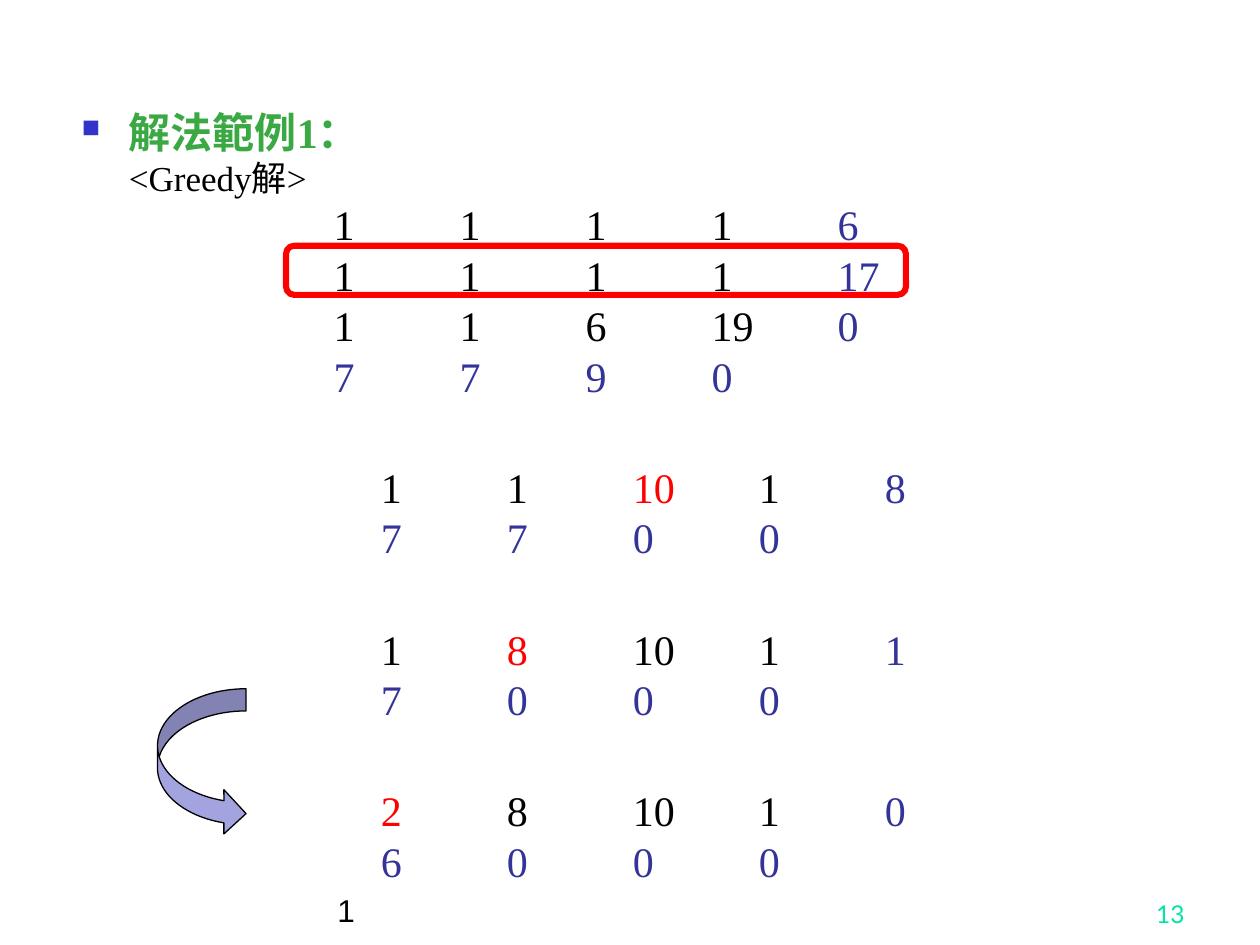
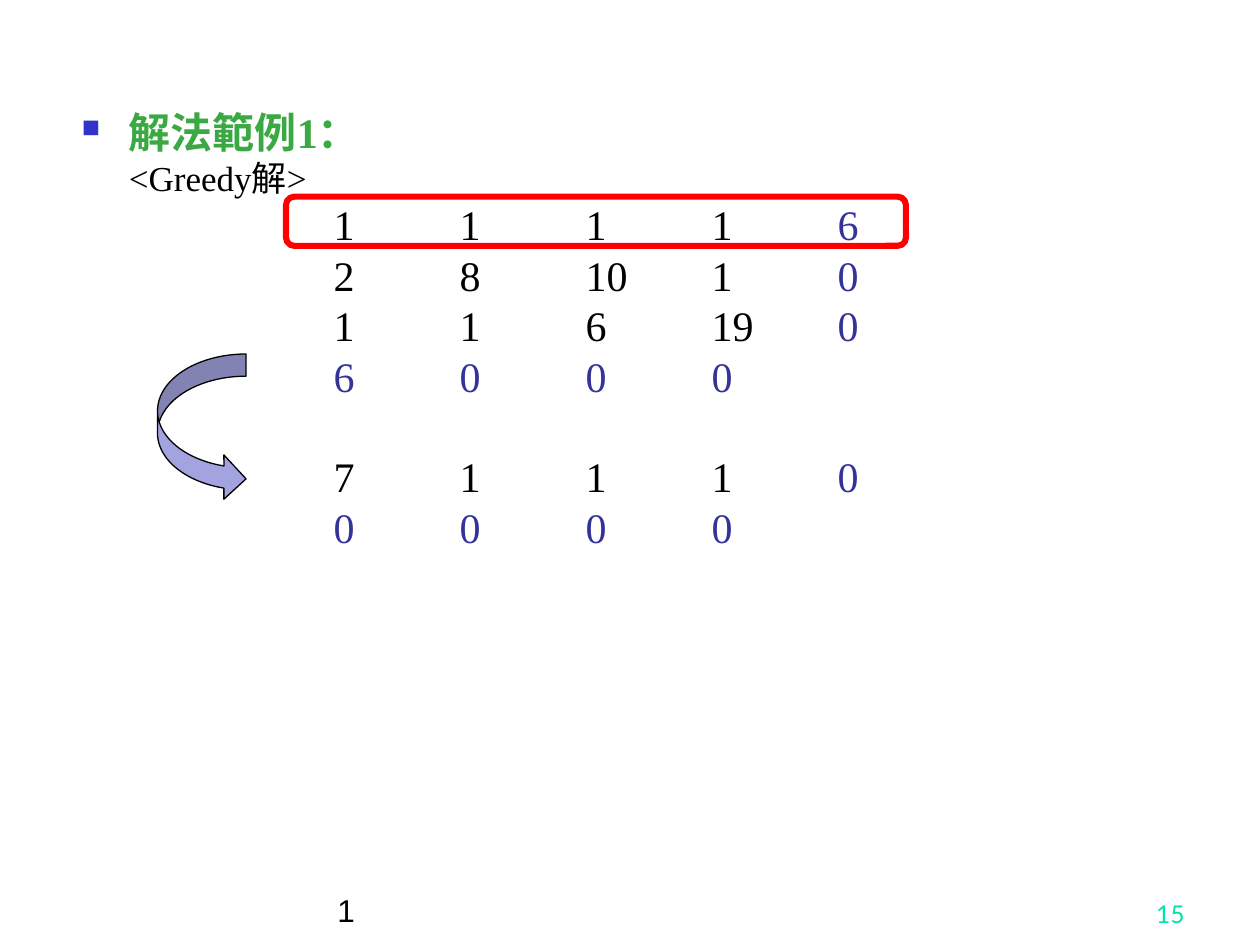
import dataclasses

import pptx
import pptx.dml.color
import pptx.enum.shapes
import pptx.enum.text
import pptx.oxml
import pptx.oxml.ns
import pptx.util

Pt = pptx.util.Pt
Shapes = pptx.enum.shapes.MSO_SHAPE
Text = pptx.enum.text


@dataclasses.dataclass(frozen=True)
class Theme:
    heading: str = "3BA943"
    ink: str = "000000"
    remainder: str = "333399"
    changed: str = "FF0000"
    bullet: str = "3333CC"
    arrow: str = "A3A3E0"
    number: str = "00E4A8"
    serif: str = "Times New Roman"
    sans: str = "Arial"
    numeral: str = "Lato"
    body_size: int = 24
    subheading_size: int = 20
    footer_size: int = 18
    number_size: int = 14


theme = Theme()


def add_run(paragraph, text, font, size, color, bold=False):
    run = paragraph.add_run()
    run.text = text
    for attribute, value in {"name": font, "size": Pt(size), "bold": bold}.items():
        setattr(run.font, attribute, value)
    run.font.color.rgb = pptx.dml.color.RGBColor.from_string(color)


def add_frame(slide, box, anchor):
    frame = slide.shapes.add_textbox(*map(Pt, box)).text_frame
    for attribute, value in {"word_wrap": True, "vertical_anchor": anchor}.items():
        setattr(frame, attribute, value)
    return frame


BODY_BOX = (39.6, 56.16, 635.76, 442.8)
FOOTER_BOX = (185.76, 498.24, 390.24, 36)
NUMBER_BOX = (534.24, 498.24, 149.76, 36)
HANGING = 27
ROW_HEIGHT = 28.8
COLUMN_WIDTH = 72
COLUMNS = 5
FIRST_COLUMN = 144
SHIFTED_COLUMN = FIRST_COLUMN + HANGING
PARAGRAPH_GAP = 6

steps = [
    {
        "number": "13",
        "highlight_top": 140.4,
        "arrow_top": 393.6,
        "blocks": [
            (FIRST_COLUMN, 0, None, ["1 1 1 1 6", "1 1 1 1 17", "1 1 6 19 0", "7 7 9 0"]),
            (SHIFTED_COLUMN, ROW_HEIGHT + PARAGRAPH_GAP, 2, ["1 1 10 1 8", "7 7 0 0"]),
            (SHIFTED_COLUMN, ROW_HEIGHT + PARAGRAPH_GAP, 1, ["1 8 10 1 1", "7 0 0 0"]),
            (SHIFTED_COLUMN, ROW_HEIGHT + PARAGRAPH_GAP, 0, ["2 8 10 1 0", "6 0 0 0"]),
        ],
    },
    {
        "number": "15",
        "highlight_top": 112.4,
        "arrow_top": 202.3,
        "blocks": [
            (FIRST_COLUMN, 0, None, ["1 1 1 1 6", "2 8 10 1 0", "1 1 6 19 0", "6 0 0 0"]),
            (FIRST_COLUMN, ROW_HEIGHT, None, ["7 1 1 1 0", "0 0 0 0"]),
        ],
    },
]

deck = pptx.Presentation()
deck.slide_width, deck.slide_height = Pt(720), Pt(540)
namespace = pptx.oxml.ns.nsdecls("a")

for step in steps:
    slide = deck.slides.add_slide(deck.slide_layouts[6])
    body = add_frame(slide, BODY_BOX, Text.MSO_ANCHOR.TOP)

    heading = body.paragraphs[0]
    heading.line_spacing = Pt(30)
    properties = heading._p.get_or_add_pPr()
    properties.set("marL", str(Pt(HANGING)))
    properties.set("indent", str(-Pt(HANGING)))
    for bullet_part in (
        f'<a:buClr {namespace}><a:srgbClr val="{theme.bullet}"/></a:buClr>',
        f'<a:buSzPct {namespace} val="60000"/>',
        f'<a:buChar {namespace} char="■"/>',
    ):
        properties.append(pptx.oxml.parse_xml(bullet_part))
    add_run(heading, "解法範例1：", theme.serif, theme.body_size, theme.heading, True)

    subheading = body.add_paragraph()
    subheading.line_spacing = Pt(24)
    subheading._p.get_or_add_pPr().set("marL", str(Pt(HANGING)))
    add_run(subheading, "<Greedy解>", theme.serif, theme.subheading_size, theme.ink)

    for left, gap, changed_column, rows in step["blocks"]:
        tabs = "".join(
            f'<a:tab pos="{Pt(left + column * COLUMN_WIDTH)}" algn="l"/>'
            for column in range(COLUMNS)
        )
        for row_index, row in enumerate(rows):
            line = body.add_paragraph()
            line._p.get_or_add_pPr().append(
                pptx.oxml.parse_xml(f"<a:tabLst {namespace}>{tabs}</a:tabLst>")
            )
            line.line_spacing = Pt(ROW_HEIGHT)
            line.space_before = Pt(0 if row_index else gap)
            values = row.split()
            for column, value in enumerate(values):
                color = theme.ink
                if len(values) < COLUMNS or column == COLUMNS - 1:
                    color = theme.remainder
                elif column == changed_column:
                    color = theme.changed
                add_run(line, f"\t{value}", theme.serif, theme.body_size, color)

    highlight = slide.shapes.add_shape(
        Shapes.ROUNDED_RECTANGLE, Pt(163.44), Pt(step["highlight_top"]), Pt(354.24), Pt(28.08)
    )
    highlight.fill.background()
    arrow = slide.shapes.add_shape(
        Shapes.CURVED_RIGHT_ARROW, Pt(90), Pt(step["arrow_top"]), Pt(50.6), Pt(84)
    )
    arrow.fill.solid()
    arrow.fill.fore_color.rgb = pptx.dml.color.RGBColor.from_string(theme.arrow)
    for outlined, color, width in ((highlight, theme.changed, 3.5), (arrow, theme.ink, 0.75)):
        outlined.shadow.inherit = False
        outlined.line.color.rgb = pptx.dml.color.RGBColor.from_string(color)
        outlined.line.width = Pt(width)

    footer = add_frame(slide, FOOTER_BOX, Text.MSO_ANCHOR.BOTTOM).paragraphs[0]
    add_run(footer, "1", theme.sans, theme.footer_size, theme.ink)
    page = add_frame(slide, NUMBER_BOX, Text.MSO_ANCHOR.BOTTOM).paragraphs[0]
    page.alignment = Text.PP_ALIGN.RIGHT
    add_run(page, step["number"], theme.numeral, theme.number_size, theme.number)

deck.save("out.pptx")
